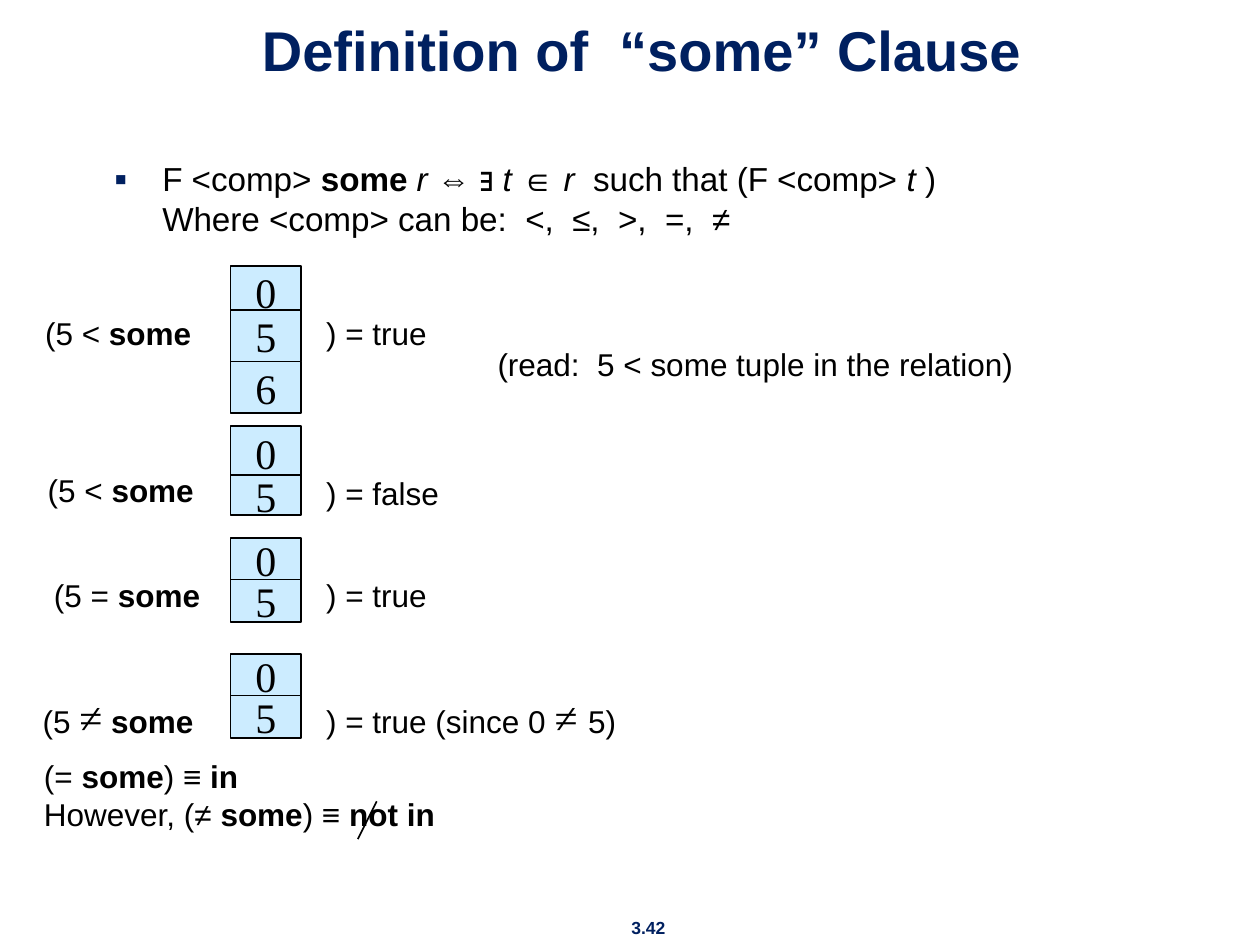
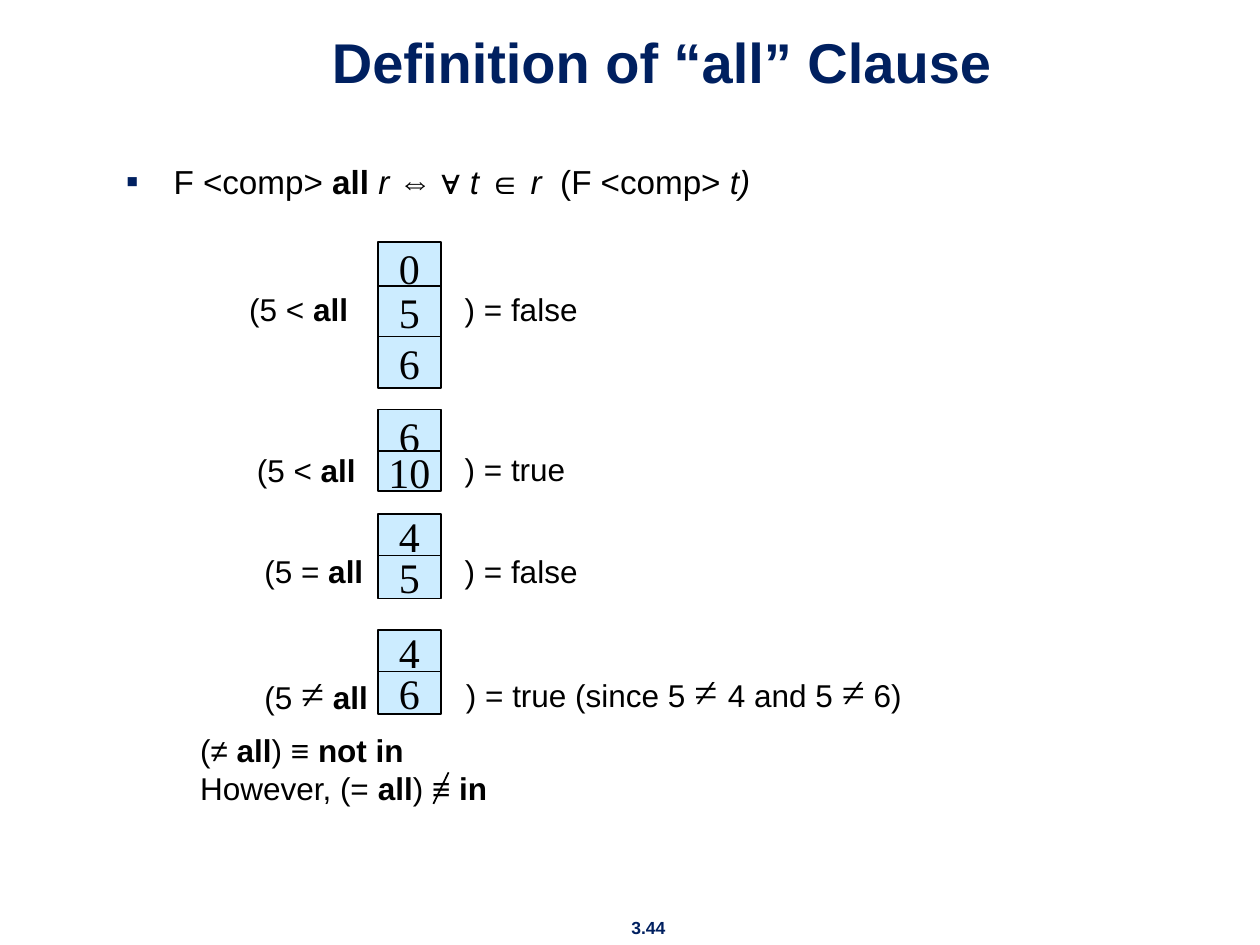
"""Build two slides that define the "some" and "all" clauses."""
from lxml import etree
from pptx import Presentation
from pptx.dml.color import RGBColor
from pptx.enum.shapes import MSO_CONNECTOR, MSO_SHAPE
from pptx.enum.text import MSO_ANCHOR, MSO_AUTO_SIZE, PP_ALIGN
from pptx.oxml.ns import qn
from pptx.util import Emu, Pt

STRAIGHT = MSO_CONNECTOR.STRAIGHT
RECTANGLE = MSO_SHAPE.RECTANGLE
CENTER = PP_ALIGN.CENTER
TOP, MIDDLE, BOTTOM = MSO_ANCHOR.TOP, MSO_ANCHOR.MIDDLE, MSO_ANCHOR.BOTTOM
NO_AUTOFIT = MSO_AUTO_SIZE.NONE

EMU_PER_PX = 9144
TITLE_ONLY = 5
SANS, SERIF = "Arial", "Times New Roman"
NAVY, BLACK, PALE_BLUE = "002060", "000000", "CCECFF"
TITLE_SIZE, BODY_SIZE, LABEL_SIZE, CELL_SIZE, NUMBER_SIZE = 32, 19, 18, 24, 10
BOLD, ITALIC, SYMBOL = "bold", "italic", "symbol"
CELL_HEIGHTS = ((41, 41, 41), (42, 32), (34, 34), (34, 34))
UNEQUAL, UNEQUAL_SPACED = ("≠", SYMBOL), ("≠ ", SYMBOL)


def px(length):
    return Emu(length * EMU_PER_PX)


def color(hex_string):
    return RGBColor.from_string(hex_string)


class ClauseDeck:
    def __init__(self):
        self.presentation = Presentation()
        self.presentation.slide_width = px(1000)
        self.presentation.slide_height = px(750)
        self.slide = None

    def new_slide(self, title, title_box, number):
        layout = self.presentation.slide_layouts[TITLE_ONLY]
        self.slide = self.presentation.slides.add_slide(layout)
        shape = self.slide.shapes.title
        shape.left, shape.top, shape.width, shape.height = map(px, title_box)
        self.fill_text(shape, [[title]], TITLE_SIZE, NAVY, bold=True, align=CENTER, anchor=BOTTOM)
        self.text((490, 723, 49, 27), [[number]], NUMBER_SIZE, NAVY, bold=True, align=CENTER, wrap=False)

    def fill_text(self, shape, paragraphs, size, hex_string=BLACK, font=SANS, bold=False,
                  align=None, anchor=TOP, wrap=True):
        text_frame = shape.text_frame
        text_frame.auto_size = NO_AUTOFIT
        text_frame.word_wrap = wrap
        text_frame.vertical_anchor = anchor
        for index, pieces in enumerate(paragraphs):
            paragraph = text_frame.add_paragraph() if index else text_frame.paragraphs[0]
            paragraph.alignment = align
            for piece in pieces:
                if piece == "\n":
                    paragraph.add_line_break()
                    continue
                words, style = (piece, None) if isinstance(piece, str) else piece
                run = paragraph.add_run()
                run.text = words
                run.font.name = SERIF if style == SYMBOL else font
                run.font.size = Pt(CELL_SIZE if style == SYMBOL else size)
                run.font.bold = bold or style == BOLD
                run.font.italic = style == ITALIC
                run.font.color.rgb = color(hex_string)

    def text(self, box, paragraphs, size=LABEL_SIZE, hex_string=BLACK, **style):
        shape = self.slide.shapes.add_textbox(*map(px, box))
        self.fill_text(shape, paragraphs, size, hex_string, **style)
        return shape

    def definition(self, box, pieces):
        shape = self.text(box, [pieces], BODY_SIZE)
        properties = shape.text_frame.paragraphs[0]._p.get_or_add_pPr()
        properties.set("marL", str(px(38)))
        properties.set("indent", str(px(-38)))
        bullet_color = etree.SubElement(properties, qn("a:buClr"))
        etree.SubElement(bullet_color, qn("a:srgbClr")).set("val", NAVY)
        etree.SubElement(properties, qn("a:buSzPct")).set("val", "110000")
        etree.SubElement(properties, qn("a:buFont")).set("typeface", SANS)
        etree.SubElement(properties, qn("a:buChar")).set("char", "▪")

    def cell(self, box, value):
        shape = self.slide.shapes.add_shape(RECTANGLE, *map(px, box))
        shape.shadow.inherit = False
        shape.fill.solid()
        shape.fill.fore_color.rgb = color(PALE_BLUE)
        shape.line.color.rgb = color(BLACK)
        shape.line.width = Pt(1)
        self.fill_text(shape, [[value]], CELL_SIZE, font=SERIF, align=CENTER, anchor=MIDDLE, wrap=False)

    def relations(self, left, width, relations):
        for cells, heights in zip(relations, CELL_HEIGHTS):
            for (value, top), height in zip(cells, heights):
                self.cell((left, top, width, height), value)

    def labels(self, labels):
        for left, top, width, pieces in labels:
            height = 50 if any(piece in (UNEQUAL, UNEQUAL_SPACED) for piece in pieces) else 40
            self.text((left, top, width, height), [pieces])

    def slash(self, start, end):
        connector = self.slide.shapes.add_connector(STRAIGHT, *map(px, start + end))
        connector.line.color.rgb = color(BLACK)
        connector.line.width = Pt(1)
        etree.SubElement(connector._element.spPr, qn("a:effectLst"))


def build_some(deck):
    some = ("some", BOLD)
    deck.new_slide("Definition of  “some” Clause", (68, 4, 883, 67), "3.42")
    deck.definition((81, 121, 744, 78), [
        "F <comp> ", ("some ", BOLD), ("r ", ITALIC), "⇔ ∃ ", ("t ", ITALIC), "∈", (" r  ", ITALIC),
        "such that (F <comp> ", ("t ", ITALIC), ")", "\n", "Where <comp> can be:  <,  ≤,  >,  =,  ≠"])
    deck.relations(183, 56, [
        [("0", 211), ("5", 246), ("6", 287)],
        [("0", 338), ("5", 377)],
        [("0", 427), ("5", 460)],
        [("0", 519), ("5", 552)]])
    deck.labels([
        (26, 244, 167, ["(5 < ", some]),
        (249, 244, 113, [") = true"]),
        (385, 269, 601, ["(read:  5 < some tuple in the relation)"]),
        (28, 369, 170, ["(5 < ", some]),
        (249, 371, 150, [") = false"]),
        (33, 452, 188, ["(5 = ", some]),
        (249, 452, 150, [") = true"]),
        (24, 544, 179, ["(5 ", UNEQUAL, " ", some]),
        (249, 544, 310, [") = true (since 0 ", UNEQUAL_SPACED, "5)"])])
    deck.text((25, 596, 839, 78), [
        ["(= ", some, ") ≡ ", ("in", BOLD)],
        ["However, (≠ ", some, ") ≡ ", ("not in", BOLD)]])
    deck.slash((299, 636), (284, 666))


def build_all(deck):
    every = ("all", BOLD)
    deck.new_slide("Definition of “all” Clause", (84, 13, 883, 67), "3.44")
    deck.definition((90, 123, 726, 42), [
        "F <comp> ", ("all ", BOLD), ("r ", ITALIC), "⇔ ∀ ", ("t ", ITALIC), "∈", (" r ", ITALIC),
        " (F <comp> ", ("t)", ITALIC)])
    deck.relations(300, 50, [
        [("0", 192), ("5", 227), ("6", 267)],
        [("6", 325), ("10", 358)],
        [("4", 408), ("5", 441)],
        [("4", 500), ("6", 533)]])
    deck.labels([
        (188, 225, 133, ["(5 < ", every]),
        (359, 225, 133, [") = false"]),
        (194, 353, 133, ["(5 < ", every]),
        (359, 352, 133, [") = true"]),
        (200, 433, 133, ["(5 = ", every]),
        (359, 433, 133, [") = false"]),
        (200, 525, 183, ["(5 ", UNEQUAL, " ", every]),
        (360, 523, 500, [") = true (since 5 ", UNEQUAL_SPACED, "4 and 5 ", UNEQUAL, " 6)"])])
    deck.text((149, 575, 744, 78), [
        ["(≠ ", every, ") ≡ ", ("not in", BOLD)],
        ["However, (= ", every, ") ≡ ", ("in", BOLD)]])
    deck.slash((356, 613), (344, 638))


def main():
    deck = ClauseDeck()
    build_some(deck)
    build_all(deck)
    deck.presentation.save("out.pptx")


if __name__ == "__main__":
    main()
